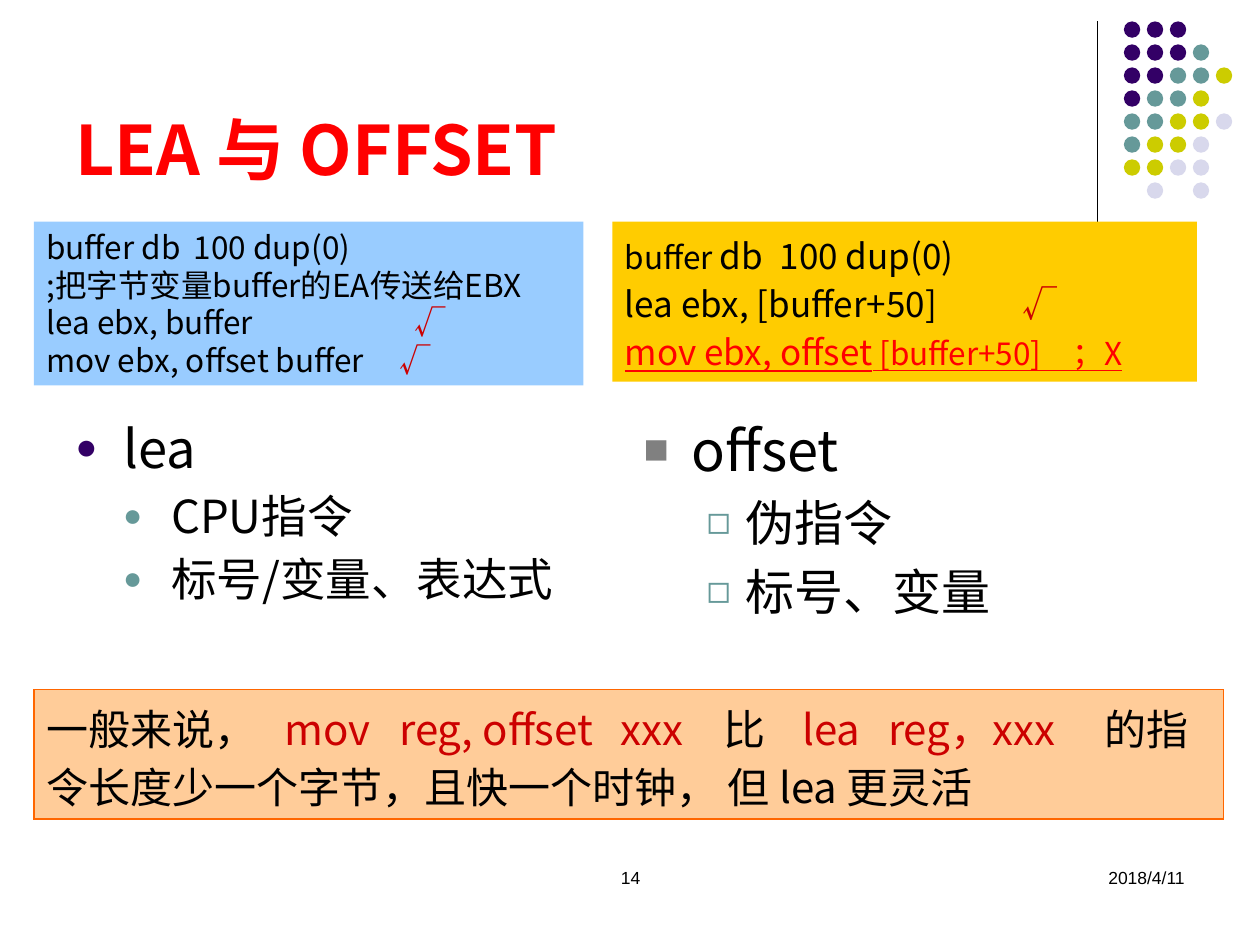
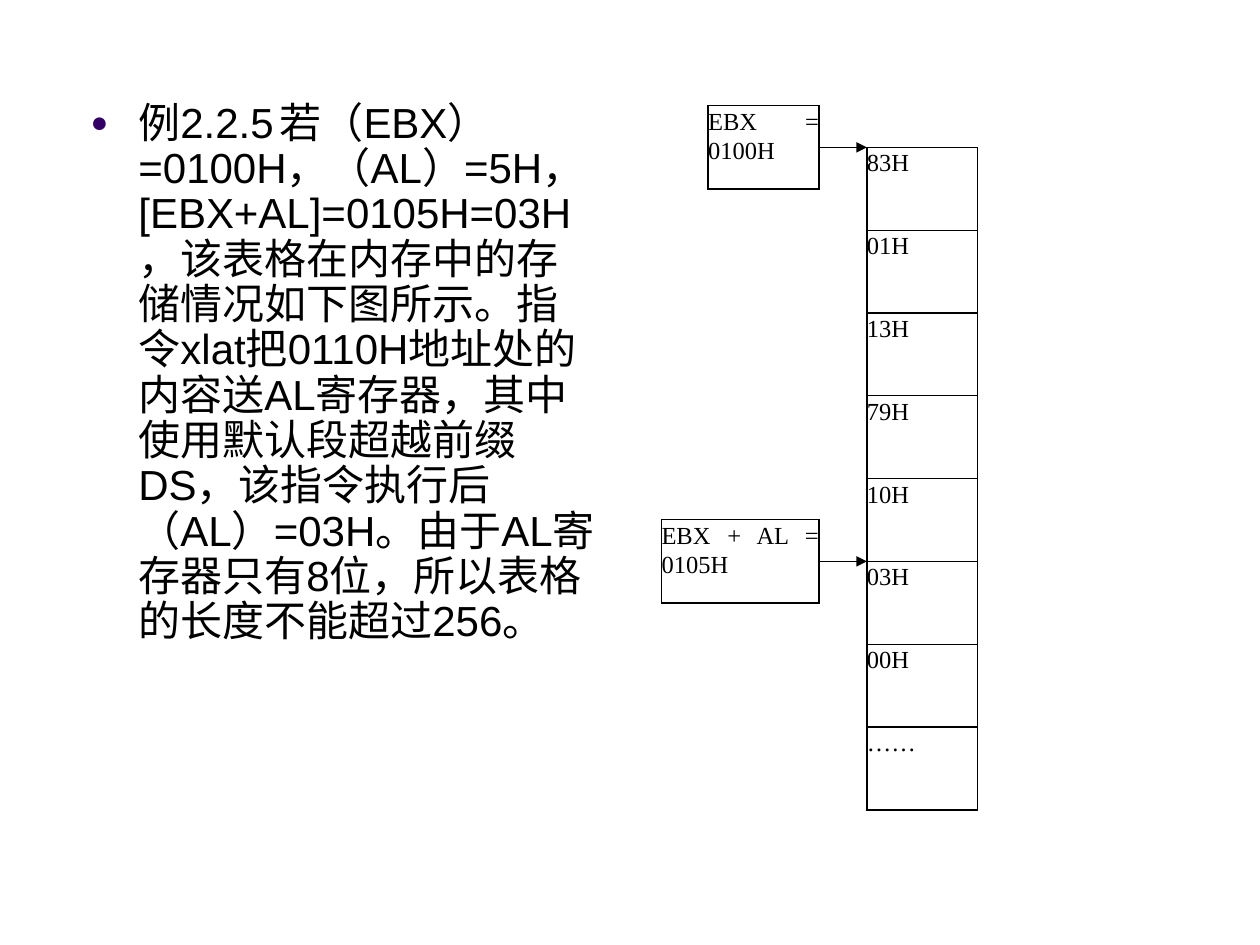
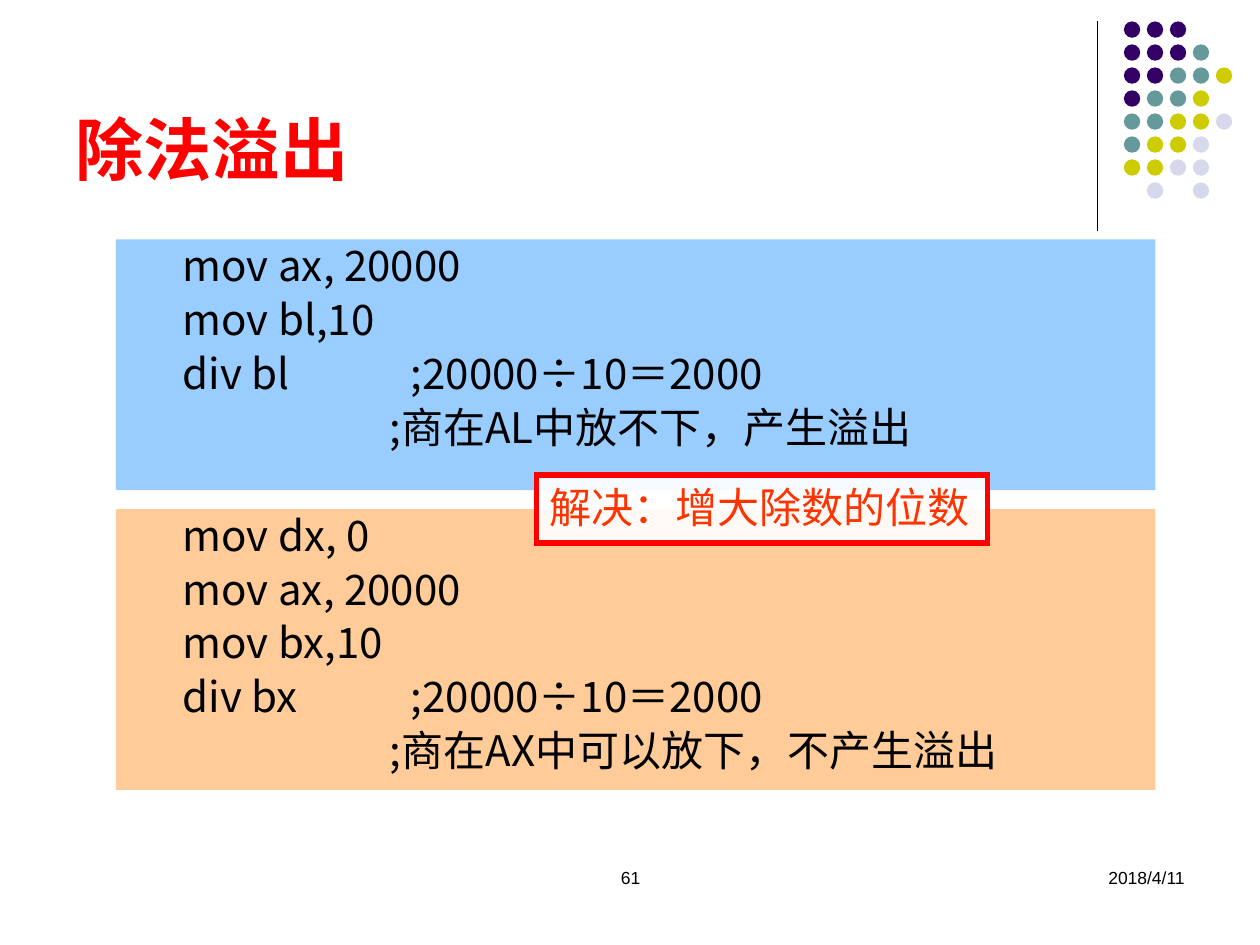
from lxml import etree
from pptx import Presentation
from pptx.dml.color import RGBColor
from pptx.enum.shapes import MSO_CONNECTOR, MSO_SHAPE
from pptx.enum.text import MSO_ANCHOR as ANCHOR, PP_ALIGN as ALIGN
from pptx.oxml.ns import qn
from pptx.util import Inches, Pt

SANS, ARIAL, TIMES = "Noto Sans CJK SC", "Arial", "Times New Roman"
BLACK, WHITE, RED, DARK_RED = "000000", "FFFFFF", "FF0000", "CC0000"
PURPLE, TEAL, OLIVE, LAVENDER, GRAY = "330066", "669999", "CCCC00", "D8D8EC", "808080"
BLUE, YELLOW, PEACH, ORANGE = "99CCFF", "FFCC00", "FFCC99", "FF6600"

DOT_COLORS = {"P": PURPLE, "T": TEAL, "Y": OLIVE, "L": LAVENDER}
DOT_ROWS = ["PPP", "PPPT", "PPTTY", "PTTY", "TTYYL", "TYYL", "YYLL", "-L-L"]
DOT_STEP = 0.73 / 4

# Bullets: character, colour, size in percent
DISC = ("●", PURPLE, 70)
SUB_DISC = ("●", TEAL, 70)
SQUARE = ("■", GRAY, 75)
SUB_SQUARE = ("◻", TEAL, 80)


def rgb(color):
    return RGBColor.from_string(color)


def add_element(parent, tag, **attributes):
    element = etree.SubElement(parent, qn(tag))
    for name, value in attributes.items():
        element.set(name, str(value))
    return element


def write(frame, text, size=18, font=SANS, color=BLACK, bold=False, align=None,
          margin=0, indent=0, line=None, before=0, bullet=None, tabs=()):
    """Add a paragraph; text is a string or a list of (text, format) runs."""
    first = not frame.paragraphs[0].runs
    paragraph = frame.paragraphs[0] if first else frame.add_paragraph()
    paragraph.alignment = align
    if line:
        paragraph.line_spacing = line
    paragraph.space_before = Pt(0 if first else size * before)
    properties = paragraph._p.get_or_add_pPr()
    if bullet:
        properties.set("marL", str(Inches(margin)))
        properties.set("indent", str(Inches(indent)))
        character, bullet_color, percent = bullet
        add_element(add_element(properties, "a:buClr"), "a:srgbClr", val=bullet_color)
        add_element(properties, "a:buSzPct", val=percent * 1000)
        add_element(properties, "a:buFont", typeface=ARIAL)
        add_element(properties, "a:buChar", char=character)
    if tabs:
        tab_list = add_element(properties, "a:tabLst")
        for position in tabs:
            add_element(tab_list, "a:tab", pos=Inches(position), algn="l")

    for run_text, changes in [(text, {})] if isinstance(text, str) else text:
        run = paragraph.add_run()
        run.text = run_text
        run.font.name = font
        run.font.size = Pt(changes.get("size", size))
        run.font.bold = bold
        run.font.underline = changes.get("underline", False)
        run.font.color.rgb = rgb(changes.get("color", color))
        add_element(run.font._element, "a:ea",
                    typeface=SANS if font == ARIAL else font)


class Deck:
    def __init__(self):
        self.presentation = Presentation()
        self.presentation.slide_width = Inches(10)
        self.presentation.slide_height = Inches(7.5)
        self.slide = None

    def new_slide(self):
        self.slide = self.presentation.slides.add_slide(
            self.presentation.slide_layouts[6])

    def titled_slide(self, title, number):
        self.new_slide()
        self.line(8.71, 0.17, 8.71, 1.83)
        for row, dots in enumerate(DOT_ROWS):
            for column, key in enumerate(dots):
                if key in DOT_COLORS:
                    self.shape(8.92 + column * DOT_STEP, 0.17 + row * DOT_STEP,
                               0.13, 0.13, DOT_COLORS[key], kind=MSO_SHAPE.OVAL)
        for left, width, text, align in [(3.42, 3.17, number, ALIGN.CENTER),
                                         (7.17, 2.33, "2018/4/11", ALIGN.RIGHT)]:
            write(self.text(left, 6.83, width, 0.5), text,
                  size=10, font=ARIAL, align=align)
        write(self.text(0.5, 0.13, 8.25, 1.42, ANCHOR.BOTTOM), title,
              size=39, color=RED, bold=True)

    def text(self, left, top, width, height, anchor=ANCHOR.TOP):
        box = self.slide.shapes.add_textbox(
            Inches(left), Inches(top), Inches(width), Inches(height))
        box.text_frame.word_wrap = True
        box.text_frame.vertical_anchor = anchor
        return box.text_frame

    def shape(self, left, top, width, height, fill, line=None, weight=0.75,
              kind=MSO_SHAPE.RECTANGLE, anchor=ANCHOR.TOP, inset=None, opacity=None):
        shape = self.slide.shapes.add_shape(
            kind, Inches(left), Inches(top), Inches(width), Inches(height))
        shape.shadow.inherit = False
        shape.fill.solid()
        shape.fill.fore_color.rgb = rgb(fill)
        if opacity:
            color = shape._element.spPr.find(".//" + qn("a:srgbClr"))
            add_element(color, "a:alpha", val=opacity * 1000)
        if line:
            shape.line.color.rgb = rgb(line)
            shape.line.width = Pt(weight)
            add_element(shape.line._get_or_add_ln(), "a:miter", lim=800000)
        else:
            shape.line.fill.background()
        frame = shape.text_frame
        frame.word_wrap = True
        frame.vertical_anchor = anchor
        if inset is not None:
            frame.margin_left = frame.margin_right = Inches(inset)
            frame.margin_top = frame.margin_bottom = Inches(inset)
        return frame

    def line(self, x1, y1, x2, y2, arrow=False):
        connector = self.slide.shapes.add_connector(
            MSO_CONNECTOR.STRAIGHT, Inches(x1), Inches(y1), Inches(x2), Inches(y2))
        connector.line.color.rgb = rgb(BLACK)
        connector.line.width = Pt(0.75)
        if arrow:
            add_element(connector.line._get_or_add_ln(), "a:tailEnd", type="triangle")
        add_element(connector._element.spPr, "a:effectLst")

    def outline(self, left, items, size, bullet, sub_bullet, sub_margin, sub_indent):
        frame = self.text(left, 3.25, 4.36, 3.26)
        write(frame, items[0], size=size, margin=0.38, indent=-0.38, bullet=bullet)
        for item in items[1:]:
            write(frame, item, size=size - 4, margin=sub_margin, indent=sub_indent,
                  before=0.2, bullet=sub_bullet)

    def memory_box(self, left, top, width, text):
        frame = self.shape(left, top, width, 0.66, WHITE, line=BLACK, inset=0)
        write(frame, text, size=14, font=TIMES, align=ALIGN.JUSTIFY)

    def code_panel(self, top, height, fill, lines):
        frame = self.shape(0.92, top, 8.25, height, fill)
        frame.margin_left = Inches(0.53)
        for text in lines:
            write(frame, text, size=24, line=0.9, before=0.2,
                  align=ALIGN.LEFT, tabs=[1.81])


def lea_and_offset(deck):
    deck.titled_slide("LEA 与 OFFSET", "14")
    check = ("√", {"color": DARK_RED})

    # Comparison lists
    deck.outline(0.5, ["lea", "CPU指令", "标号/变量、表达式"],
                 30, DISC, SUB_DISC, 0.76, -0.38)
    deck.outline(5.01, ["offset", "伪指令", "标号、变量"],
                 32, SQUARE, SUB_SQUARE, 0.81, -0.31)

    # Code samples
    simple = deck.shape(0.27, 1.76, 4.36, 1.3, BLUE)
    for text, tabs in [("buffer db\t100 dup(0)", [1.17]),
                       (";把字节变量buffer的EA传送给EBX", []),
                       ([("lea ebx, buffer\t", {}), check], [2.92]),
                       ([("mov ebx, offset buffer\t", {}), check], [2.8])]:
        write(simple, text, align=ALIGN.LEFT, tabs=tabs)

    indexed = deck.shape(4.86, 1.76, 4.64, 1.27, YELLOW)
    wrong = {"color": RED, "underline": True}
    for runs, tabs in [([("buffer ", {"size": 18}), ("db\t100 dup(0)", {})], [1.23]),
                       ([("lea ebx, [buffer+50]\t", {}), check], [3.16]),
                       ([("mov ebx, offset", wrong),
                         (" [buffer+50]　；X", {**wrong, "size": 18})], [])]:
        write(indexed, runs, size=20, line=1.15, align=ALIGN.LEFT, tabs=tabs)

    # Conclusion
    conclusion = deck.shape(0.27, 5.47, 9.44, 1.03, PEACH, line=ORANGE,
                            anchor=ANCHOR.MIDDLE)
    code = {"color": DARK_RED}
    write(conclusion,
          [("一般来说，\t", {}), ("mov\treg, offset\txxx\t", code), ("比\t", {}),
           ("lea\treg，xxx\t", code),
           ("的指令长度少一个字节，且快一个时钟， 但 lea 更灵活", {})],
          size=24, line=1.15, align=ALIGN.LEFT,
          tabs=[1.89, 2.8, 4.56, 5.37, 6, 6.68, 8.4])


def table_lookup(deck):
    deck.new_slide()
    write(deck.text(0.62, 0.76, 4.22, 5.83),
          "例2.2.5\t若（EBX）=0100H，（AL）=5H， [EBX+AL]=0105H=03H，"
          "该表格在内存中的存储情况如下图所示。指令xlat把0110H地址处的内容送AL寄存器，"
          "其中使用默认段超越前缀DS，该指令执行后（AL）=03H。"
          "由于AL寄存器只有8位，所以表格的长度不能超过256。",
          size=24, font=ARIAL, margin=0.38, indent=-0.38, line=0.9, bullet=DISC)

    # Memory column
    memory_top, cell_step = 1.17, 4.6 / 7
    cells = ["83H", "01H", "13H", "79H", "10H", "03H", "00H", "……"]
    for index, value in enumerate(cells):
        deck.memory_box(6.88, memory_top + index * cell_step, 0.88, value)

    # Pointers to cells
    for left, index, label in [(5.62, 0, "EBX = 0100H"), (5.25, 5, "EBX + AL = 0105H")]:
        target = memory_top + index * cell_step
        deck.memory_box(left, target - 0.33, 6.5 - left, label)
        deck.line(6.5, target, 6.88, target, arrow=True)


def division_overflow(deck):
    deck.titled_slide("除法溢出", "61")
    deck.code_panel(1.9, 1.99, BLUE, [
        "mov ax, 20000", "mov bl,10", "div bl\t;20000÷10＝2000",
        "                      ;商在AL中放不下，产生溢出"])
    deck.code_panel(4.04, 2.23, PEACH, [
        "mov dx, 0", "mov ax, 20000", "mov bx,10", "div bx\t;20000÷10＝2000",
        "                      ;商在AX中可以放下，不产生溢出"])
    solution = deck.shape(4.26, 3.77, 3.58, 0.54, WHITE, line=RED, weight=3, opacity=90)
    write(solution, "解决：增大除数的位数", size=24, color="FF3300", align=ALIGN.LEFT)


def main():
    deck = Deck()
    lea_and_offset(deck)
    table_lookup(deck)
    division_overflow(deck)
    deck.presentation.save("out.pptx")


if __name__ == "__main__":
    main()
